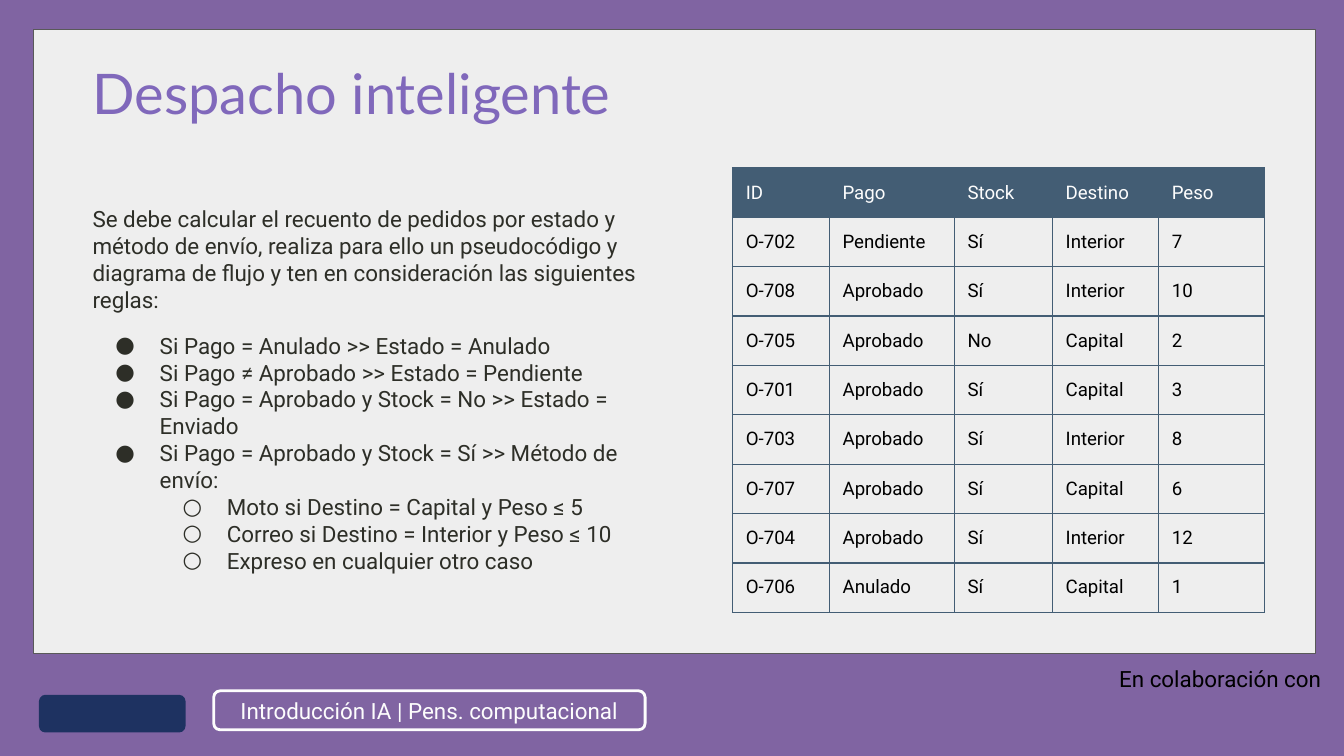
"""Build the slide on smart dispatch: rules on the left, orders on the right."""
from lxml.etree import SubElement
from pptx import Presentation
from pptx.dml.color import RGBColor
from pptx.enum.shapes import MSO_SHAPE
from pptx.enum.text import MSO_ANCHOR, PP_ALIGN
from pptx.oxml.ns import qn
from pptx.util import Inches, Pt

PURPLE = RGBColor(0x80, 0x64, 0xA2)
VIOLET = RGBColor(0x80, 0x68, 0xBB)
PALE = RGBColor(0xEE, 0xEE, 0xEE)
GRAY = RGBColor(0x59, 0x59, 0x59)
NAVY = RGBColor(0x1E, 0x32, 0x61)
SLATE = RGBColor(0x43, 0x5D, 0x74)
INK = RGBColor(0x2D, 0x2E, 0x27)
WHITE = RGBColor(0xFD, 0xFD, 0xFD)
BLACK = RGBColor(0, 0, 0)

TITLE = "Despacho inteligente"
TOPIC = "Introducción IA | Pens. computacional"
CREDIT = "En colaboración con"
INTRO = (
    "Se debe calcular el recuento de pedidos por estado y método de envío, "
    "realiza para ello un pseudocódigo y diagrama de flujo y ten en "
    "consideración las siguientes reglas:"
)
RULES = [
    (0, "Si Pago = Anulado >> Estado = Anulado"),
    (0, "Si Pago ≠ Aprobado >> Estado = Pendiente"),
    (0, "Si Pago = Aprobado y Stock = No >> Estado = Enviado"),
    (0, "Si Pago = Aprobado y Stock = Sí >> Método de envío:"),
    (1, "Moto si Destino = Capital y Peso ≤ 5"),
    (1, "Correo si Destino = Interior y Peso ≤ 10"),
    (1, "Expreso en cualquier otro caso"),
]
ORDERS = [
    ("ID", "Pago", "Stock", "Destino", "Peso"),
    ("O-702", "Pendiente", "Sí", "Interior", "7"),
    ("O-708", "Aprobado", "Sí", "Interior", "10"),
    ("O-705", "Aprobado", "No", "Capital", "2"),
    ("O-701", "Aprobado", "Sí", "Capital", "3"),
    ("O-703", "Aprobado", "Sí", "Interior", "8"),
    ("O-707", "Aprobado", "Sí", "Capital", "6"),
    ("O-704", "Aprobado", "Sí", "Interior", "12"),
    ("O-706", "Anulado", "Sí", "Capital", "1"),
]
WIDE = 10
HIGH = WIDE * 9 / 16
WIDTHS = [0.72, 0.93, 0.73, 0.79, 0.79]
ROW = 0.34
MARKS = "●○"


def style(para, size, color, face="Roboto"):
    font = para.font
    font.size, font.name = Pt(size), face
    font.color.rgb = color


def inset(frame, pad):
    frame.margin_left = frame.margin_right = Inches(pad)
    frame.margin_top = frame.margin_bottom = Inches(pad)


def add_box(slide, kind, area, fill=None, line=None, width=1):
    box = slide.shapes.add_shape(kind, *map(Inches, area))
    box.shadow.inherit = False
    if fill is None:
        box.fill.background()
    else:
        box.fill.solid()
        box.fill.fore_color.rgb = fill
    if line is None:
        box.line.fill.background()
    else:
        box.line.color.rgb = line
        box.line.width = Pt(width)
    return box


def add_text(slide, area, text, size, color, face="Roboto", pad=0.1):
    frame = slide.shapes.add_textbox(*map(Inches, area)).text_frame
    frame.word_wrap = True
    inset(frame, pad)
    para = frame.paragraphs[0]
    para.text = text
    style(para, size, color, face)
    return frame


def add_rule(frame, level, text):
    para = frame.add_paragraph()
    para.text, para.level = text, level
    props = para._p.get_or_add_pPr()
    props.set("marL", str(Inches(0.5 * (level + 1))))
    props.set("indent", str(Inches(-0.33)))
    tint = SubElement(props, qn("a:buClr"))
    SubElement(tint, qn("a:srgbClr"), val=str(INK))
    SubElement(props, qn("a:buSzPts"), val="1200")
    SubElement(props, qn("a:buFont"), typeface="Roboto")
    SubElement(props, qn("a:buChar"), char=MARKS[level])
    style(para, 12, INK)
    return para


def set_cell(cell, text, head):
    cell.text = text
    cell.vertical_anchor = MSO_ANCHOR.MIDDLE
    inset(cell, 0.1)
    style(cell.text_frame.paragraphs[0], 10, WHITE if head else BLACK)
    props = cell._tc.get_or_add_tcPr()
    for side in ("lnL", "lnR", "lnT", "lnB"):
        edge = SubElement(props, qn(f"a:{side}"), w=str(Pt(0.75)))
        fill = SubElement(edge, qn("a:solidFill"))
        SubElement(fill, qn("a:srgbClr"), val=str(SLATE))
    if head:
        cell.fill.solid()
        cell.fill.fore_color.rgb = SLATE
    else:
        cell.fill.background()


def add_orders(slide, left, top):
    size = (sum(WIDTHS), ROW * len(ORDERS))
    area = map(Inches, (left, top, *size))
    table = slide.shapes.add_table(len(ORDERS), len(WIDTHS), *area).table
    table.first_row = table.horz_banding = False
    for col, width in zip(table.columns, WIDTHS):
        col.width = Inches(width)
    for r, order in enumerate(ORDERS):
        table.rows[r].height = Inches(ROW)
        for c, text in enumerate(order):
            set_cell(table.cell(r, c), text, r == 0)


def main():
    deck = Presentation()
    deck.slide_width, deck.slide_height = Inches(WIDE), Inches(HIGH)
    slide = deck.slides.add_slide(deck.slide_layouts[6])

    add_box(slide, MSO_SHAPE.RECTANGLE, (0, 0, WIDE, HIGH), PURPLE)
    add_box(slide, MSO_SHAPE.RECTANGLE, (0.25, 0.22, 9.54, 4.64), PALE, GRAY, 0.38)
    credit = add_text(slide, (8.23, 4.9, 1.7, 0.26), CREDIT, 12, BLACK, pad=0.05)
    credit.paragraphs[0].alignment = PP_ALIGN.CENTER
    add_box(slide, MSO_SHAPE.ROUNDED_RECTANGLE, (0.29, 5.17, 1.09, 0.28), NAVY)

    title = add_text(slide, (0.59, 0.39, 4.41, 0.66), TITLE, 30, VIOLET, "Lato")
    title.paragraphs[0].line_spacing = 0.9
    body = add_text(slide, (0.59, 1.43, 4.41, 2.97), INTRO, 12, INK)
    rules = [add_rule(body, *rule) for rule in RULES]
    rules[0].space_before = Pt(10)

    add_orders(slide, 5.45, 1.25)

    area = (1.59, 5.14, 3.21, 0.29)
    topic = add_box(slide, MSO_SHAPE.ROUNDED_RECTANGLE, area, line=WHITE, width=1.5)
    frame = topic.text_frame
    frame.text = TOPIC
    frame.word_wrap = True
    frame.vertical_anchor = MSO_ANCHOR.MIDDLE
    inset(frame, 0.1)
    frame.paragraphs[0].alignment = PP_ALIGN.CENTER
    style(frame.paragraphs[0], 12, WHITE)

    deck.save("out.pptx")


if __name__ == "__main__":
    main()
